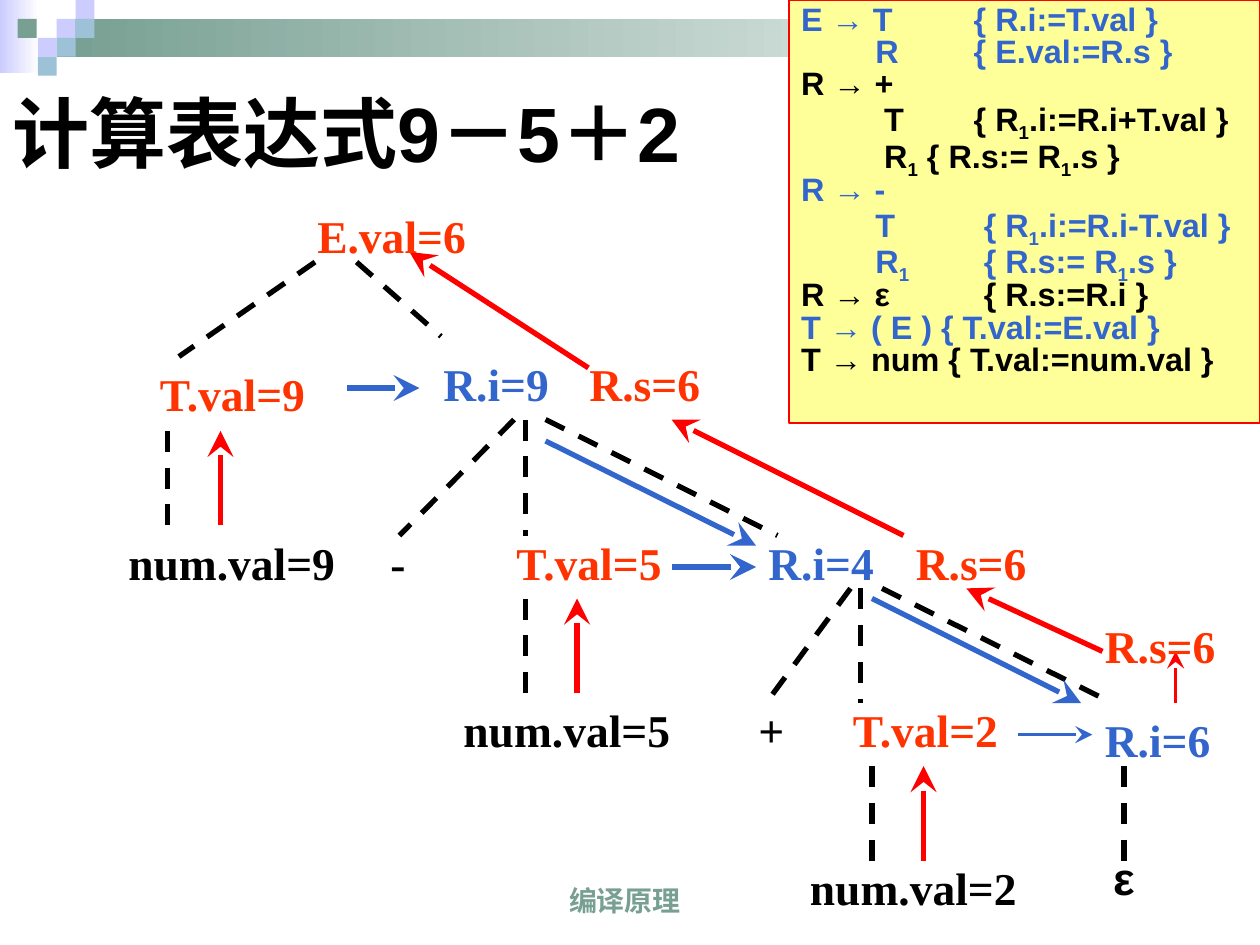
from lxml import etree
from pptx import Presentation, util as u
from pptx.dml.color import RGBColor
from pptx.enum import dml, shapes, text
from pptx.oxml import ns

Inches = u.Inches
hues = {"black": "000000", "red": "FF0000", "warm": "FF3300", "blue": "3366CC",
        "green": "779F92", "lilac": "CCCCFF", "sky": "9DC2D7", "cream": "FFFF99",
        "white": "FFFFFF"}
pads = {"margin_left": Inches(0.1), "margin_right": Inches(0.1),
        "margin_top": Inches(0.05), "margin_bottom": Inches(0.05)}
left, mid = text.PP_ALIGN.LEFT, text.PP_ALIGN.CENTER


def rgb(name):
    return RGBColor.from_string(hues[name])


def write(par, words, size, hue, face="Arial", align=left):
    par.alignment = align
    for n, part in enumerate(words.split("_")):
        run = par.add_run()
        run.text = part
        for key, val in {"size": u.Pt(size), "bold": True, "name": face}.items():
            setattr(run.font, key, val)
        run.font.color.rgb = rgb(hue)
        if n % 2:
            run.font._element.set("baseline", "-25000")


deck = Presentation()
deck.slide_width, deck.slide_height = Inches(10), Inches(7.5)
slide = deck.slides.add_slide(deck.slide_layouts[5])
pool = slide.shapes

title = pool.title
spot = {"left": 0, "top": 0.44, "width": 8.5, "height": 1.21}
for key, val in spot.items():
    setattr(title, key, Inches(val))
form = {**pads, "vertical_anchor": text.MSO_ANCHOR.MIDDLE, "word_wrap": True,
        "auto_size": text.MSO_AUTO_SIZE.NONE}
for key, val in form.items():
    setattr(title.text_frame, key, val)
write(title.text_frame.paragraphs[0], "计算表达式9－5＋2", 44, "black")

tiles = [
    (0, 0, 0.31, 0.58, "lilac", True),
    (0.45, 0.15, 9.55, 0.3, "green", True),
    (0.45, 0.15, 0.15, 0.15, "lilac", False),
    (0.6, 0, 0.15, 0.15, "lilac", False),
    (0.6, 0.15, 0.15, 0.15, "sky", False),
    (0.3, 0.3, 0.15, 0.15, "lilac", False),
    (0.14, 0.15, 0.15, 0.15, "green", False),
    (0.45, 0.3, 0.15, 0.15, "sky", False),
    (0.3, 0.45, 0.15, 0.15, "sky", False),
]
for *box, hue, fade in tiles:
    tile = pool.add_shape(shapes.MSO_SHAPE.RECTANGLE, *map(Inches, box))
    tile.shadow.inherit = False
    tile.line.fill.background()
    if fade:
        tile.fill.gradient()
        tile.fill.gradient_angle = 0
        for stop, name, place in zip(tile.fill.gradient_stops, (hue, "white"), (0, 1)):
            stop.color.rgb = rgb(name)
            stop.position = place
    else:
        tile.fill.solid()
        tile.fill.fore_color.rgb = rgb(hue)

edges = [
    (2.5, 2.08, 1.42, 2.83), (2.83, 2.08, 3.5, 2.67), (1.33, 3.42, 1.33, 4.17),
    (4.08, 3.33, 3.17, 4.25), (4.17, 3.33, 4.17, 4.25), (4.33, 3.33, 6.17, 4.25),
    (4.17, 4.75, 4.17, 5.5), (6.75, 4.67, 6.08, 5.58), (6.83, 4.67, 6.83, 5.58),
    (7, 4.67, 8.83, 5.58), (6.92, 6.08, 6.92, 6.83), (8.92, 6.08, 8.92, 6.83),
]
flows = [
    (1.75, 4.17, 1.75, 3.42, "red", 3), (2.75, 3.08, 3.33, 3.08, "blue", 3),
    (4.58, 5.5, 4.58, 4.75, "red", 3), (4.33, 3.5, 6, 4.33, "blue", 3),
    (5.33, 4.5, 6, 4.5, "blue", 3), (7.33, 6.83, 7.33, 6.08, "red", 3),
    (6.92, 4.75, 8.58, 5.58, "blue", 3), (8.08, 5.83, 8.67, 5.83, "blue", 1.5),
    (9.33, 5.58, 9.33, 5.17, "red", 1.5), (8.75, 5.17, 7.67, 4.67, "red", 3),
    (7.17, 4.25, 5.33, 3.33, "red", 3), (4.67, 2.92, 3.25, 2, "red", 3),
]
for *ends, hue, wide in [(*edge, "black", 3) for edge in edges] + flows:
    wire = pool.add_connector(shapes.MSO_CONNECTOR.STRAIGHT, *map(Inches, ends))
    etree.SubElement(wire._element.spPr, ns.qn("a:effectLst"))
    wire.line.color.rgb = rgb(hue)
    wire.line.width = u.Pt(wide)
    if hue == "black":
        wire.line.dash_style = dml.MSO_LINE.DASH
    else:
        etree.SubElement(wire.line._get_or_add_ln(), ns.qn("a:tailEnd"),
                         type="stealth", w="lg", len="lg")

roman = "Times New Roman"
nodes = [
    (2.42, 1.58, 1.58, "E.val=6", "warm"), (1.17, 2.83, 1.75, "T.val=9", "warm"),
    (3.42, 2.75, 1.58, "R.i=9", "blue"), (4.58, 2.75, 1.58, "R.s=6", "warm"),
    (0.92, 4.17, 2.5, "num.val=9", "black"), (3, 4.17, 0.67, "-", "black"),
    (4, 4.17, 1.58, "T.val=5", "warm"), (6, 4.17, 1.58, "R.i=4", "blue"),
    (7.17, 4.17, 1.58, "R.s=6", "warm"), (8.67, 4.83, 1.58, "R.s=6", "warm"),
    (3.58, 5.5, 2.5, "num.val=5", "black"), (5.92, 5.5, 0.67, "+", "black"),
    (6.67, 5.5, 1.58, "T.val=2", "warm"), (8.67, 5.58, 1.58, "R.i=6", "blue"),
    (6.33, 6.75, 2.5, "num.val=2", "black"),
]
notes = [(x, y, w, 0.58, words, 26, hue, roman, left) for x, y, w, words, hue in nodes]
notes += [(8.42, 6.67, 1, 0.58, "ε", 26, "black", "Arial", mid),
          (3.19, 6.83, 3.54, 0.5, "编译原理", 16, "green", "Arial", mid)]
for x, y, w, h, *look in notes:
    frame = pool.add_textbox(*map(Inches, (x, y, w, h))).text_frame
    low = look[2] == "green"
    form = {**pads, "word_wrap": low,
            "vertical_anchor": text.MSO_ANCHOR.BOTTOM if low else text.MSO_ANCHOR.MIDDLE}
    for key, val in form.items():
        setattr(frame, key, val)
    write(frame.paragraphs[0], *look)

panel = pool.add_shape(shapes.MSO_SHAPE.RECTANGLE, *map(Inches, (6.26, 0, 3.74, 3.36)))
panel.shadow.inherit = False
panel.fill.solid()
panel.fill.fore_color.rgb = rgb("cream")
panel.line.color.rgb = rgb("red")
panel.line.width = u.Pt(1.25)
frame = panel.text_frame
form = {**pads, "word_wrap": True, "vertical_anchor": text.MSO_ANCHOR.TOP}
for key, val in form.items():
    setattr(frame, key, val)

rules = [
    ("E → T\t{ R.i:=T.val }", "blue", 0.59, 1.37),
    ("\tR\t{ E.val:=R.s }", "blue", 0.59, 1.37),
    ("R → +", "black", 0.66, 1.37),
    ("\tT\t{ R_1_.i:=R.i+T.val }", "black", 0.66, 1.37),
    ("\tR_1_ { R.s:= R_1_.s }", "black", 0.66, 1.37),
    ("R → -", "blue", 0.59, 1.45),
    ("\tT\t{ R_1_.i:=R.i-T.val }", "blue", 0.59, 1.45),
    ("\tR_1_\t{ R.s:= R_1_.s }", "blue", 0.59, 1.45),
    ("R → ε\t{ R.s:=R.i }", "black", 0.59, 1.45),
    ("T → ( E ) { T.val:=E.val }", "blue", 0.59, 1.45),
    ("T → num { T.val:=num.val }", "black", 0.59, 1.45),
]
for n, (words, hue, *stops) in enumerate(rules):
    par = frame.add_paragraph() if n else frame.paragraphs[0]
    par.line_spacing = 0.8
    par.space_before = u.Pt(0.7 if n else 0)
    tabs = etree.SubElement(par._p.get_or_add_pPr(), ns.qn("a:tabLst"))
    for stop in stops:
        etree.SubElement(tabs, ns.qn("a:tab"), pos=str(Inches(stop)), algn="l")
    write(par, words, 18.5, hue)

deck.save("out.pptx")
